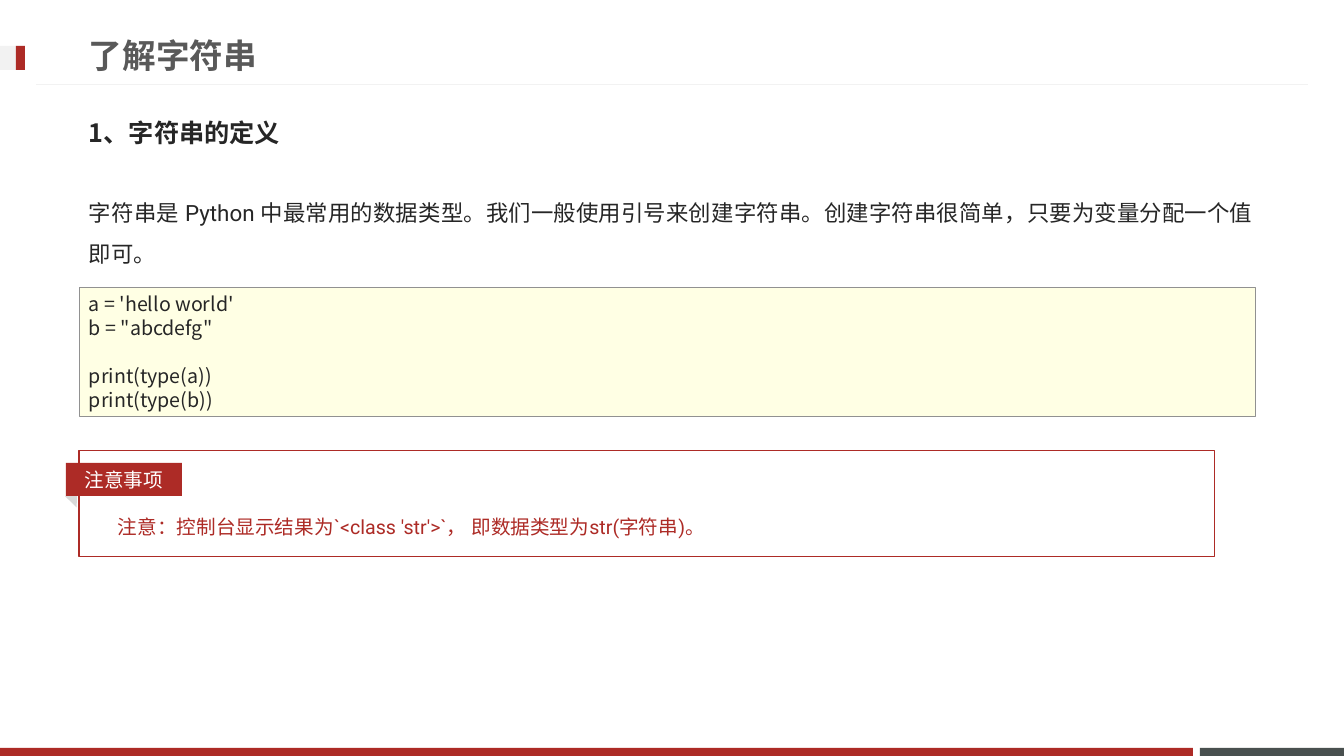
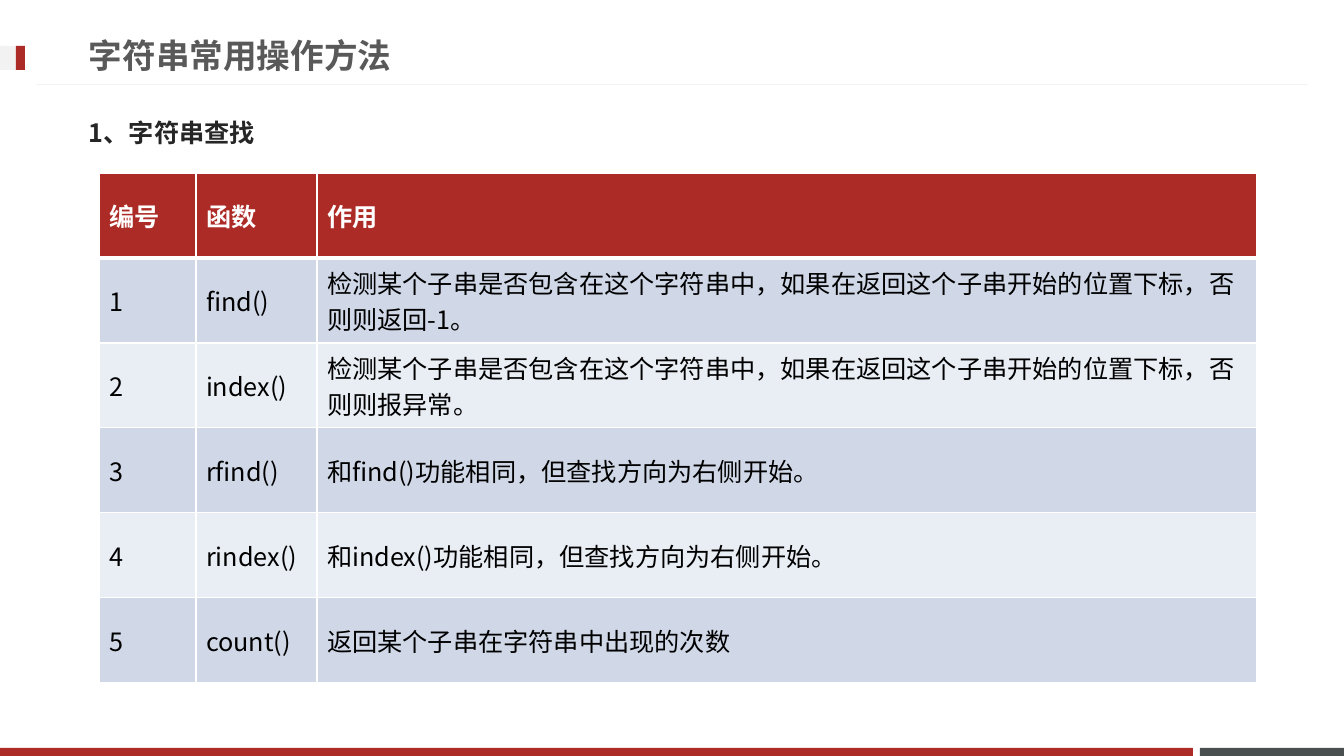
from lxml.etree import SubElement
from pptx import Presentation
from pptx.dml.color import RGBColor
from pptx.enum.shapes import MSO_CONNECTOR, MSO_SHAPE
from pptx.enum.text import MSO_ANCHOR, PP_ALIGN
from pptx.oxml.ns import qn
from pptx.util import Emu, Pt

# Content
TITLES = ["了解字符串", "字符串常用操作方法"]
HEADS = ["1、字符串的定义", "1、字符串查找"]
INTRO = ("字符串是 Python 中最常用的数据类型。我们一般使用引号来创建字符串。"
         "创建字符串很简单，只要为变量分配一个值即可。")
CODE = [["a = 'hello world'", 'b = "abcdefg"'],
        ["print(type(a))", "print(type(b))"]]
LABEL = "注意事项"
NOTE = "注意：控制台显示结果为`<class 'str'>`， 即数据类型为str(字符串)。"
FOUND = "检测某个子串是否包含在这个字符串中，如果在返回这个子串开始的位置下标，否则则"
ROWS = [
    ("编号", "函数", "作用"),
    ("1", "find()", FOUND + "返回-1。"),
    ("2", "index()", FOUND + "报异常。"),
    ("3", "rfind()", "和find()功能相同，但查找方向为右侧开始。"),
    ("4", "rindex()", "和index()功能相同，但查找方向为右侧开始。"),
    ("5", "count()", "返回某个子串在字符串中出现的次数"),
]

# Style
HUES = {"red": "AD2B26", "slate": "49504F", "pale": "F2F2F2", "fold": "D9D9D9",
        "title": "595959", "ink": "262626", "cream": "FFFFE4", "edge": "919191",
        "odd": "D0D8E8", "even": "E9EDF4", "white": "FFFFFF", "black": "000000"}
SANS, NOTO = "Roboto", "Noto Sans CJK JP"
WIDE, HIGH = 1344, 756
LEFT = 79
COLS, ROW = (97, 121, 940), 85
PITCH = 17  # code line height in points


def px(n):
    return Emu(round(n * 914400 / 100.8))


def hue(name):
    return RGBColor.from_string(HUES[name])


def write(para, text, size, color, face=SANS, bold=False):
    run = para.add_run()
    run.text = text
    font = run.font
    font.size, font.bold, font.name = Pt(size), bold, face
    font.color.rgb = hue(color)
    props = run._r.get_or_add_rPr()
    props.set("lang", "zh-CN")
    SubElement(props, qn("a:ea"), typeface=face)


def box(slide, area, fill=None, line=None, weight=0.75, kind=MSO_SHAPE.RECTANGLE):
    shape = slide.shapes.add_shape(kind, *map(px, area))
    shape.shadow.inherit = False
    if fill:
        shape.fill.solid()
        shape.fill.fore_color.rgb = hue(fill)
    else:
        shape.fill.background()
    if line:
        shape.line.color.rgb = hue(line)
        shape.line.width = Pt(weight)
    else:
        shape.line.fill.background()
    return shape


def label(slide, area, text, size, color, face=SANS, bold=False,
          anchor=MSO_ANCHOR.MIDDLE):
    frame = slide.shapes.add_textbox(*map(px, area)).text_frame
    frame.word_wrap = True
    frame.vertical_anchor = anchor
    para = frame.paragraphs[0]
    write(para, text, size, color, face, bold)
    return para


def base(deck, title, head):
    slide = deck.slides.add_slide(deck.slide_layouts[6])
    # Footer bands and title marker
    box(slide, (1200, HIGH - 8, WIDE - 1200, 8), "slate")
    box(slide, (0, HIGH - 8, 1193, 8), "red")
    box(slide, (0, 46, 25, 24), "pale")
    box(slide, (16, 46, 9, 24), "red")
    # Title rule
    rule = slide.shapes.add_connector(
        MSO_CONNECTOR.STRAIGHT, px(WIDE - 36), px(85), px(36), px(85))
    rule.line.color.rgb = hue("pale")
    rule.line.width = Pt(0.75)
    SubElement(rule._element.spPr, qn("a:effectLst"))
    # Title and heading
    label(slide, (LEFT, 27, 967, 57), title, 24, "title", bold=True)
    para = label(slide, (LEFT, 104, 1185, 57), head, 18, "ink", NOTO, True)
    para.space_before = Pt(4)
    return slide


def define(slide):
    # Introduction
    para = label(slide, (LEFT, 181, 1185, 100), INTRO, 16, "ink",
                 anchor=MSO_ANCHOR.TOP)
    para.alignment = PP_ALIGN.JUSTIFY
    para.line_spacing = 1.5
    para.space_before = Pt(3)
    # Code panel
    frame = box(slide, (LEFT, 287, 1176, 129), "cream", "edge", 0.25).text_frame
    frame.word_wrap = True
    frame.vertical_anchor = MSO_ANCHOR.TOP
    para = frame.paragraphs[0]
    for b, block in enumerate(CODE):
        for i, text in enumerate(block):
            if b or i:
                para = frame.add_paragraph()
            para.alignment = PP_ALIGN.LEFT
            para.line_spacing = Pt(PITCH)
            para.space_before = Pt(PITCH if b and not i else 0)
            write(para, text, 14, "ink", NOTO)
    # Note with folded tag
    fold = box(slide, (66, 494, 16, 9), "fold", kind=MSO_SHAPE.ISOSCELES_TRIANGLE)
    fold.rotation = 44.2
    para = label(slide, (108, 498, 1078, 42), NOTE, 14, "red",
                 anchor=MSO_ANCHOR.TOP)
    para.line_spacing = 1.5
    box(slide, (LEFT, 451, 1136, 106), line="red")
    frame = box(slide, (66, 463, 116, 33), "red").text_frame
    frame.vertical_anchor = MSO_ANCHOR.MIDDLE
    para = frame.paragraphs[0]
    para.alignment = PP_ALIGN.CENTER
    write(para, LABEL, 14, "white")


def border(cell, side, weight):
    line = SubElement(cell._tc.get_or_add_tcPr(), qn("a:ln" + side),
                      w=str(Pt(weight)))
    fill = SubElement(line, qn("a:solidFill"))
    SubElement(fill, qn("a:srgbClr"), val=HUES["white"])


def find(slide):
    # Method table
    area = (99, 173, sum(COLS), ROW * len(ROWS))
    table = slide.shapes.add_table(len(ROWS), len(COLS), *map(px, area)).table
    for col, width in zip(table.columns, COLS):
        col.width = px(width)
    for r, row in enumerate(ROWS):
        table.rows[r].height = px(ROW)
        fill = "red" if r == 0 else "odd" if r % 2 else "even"
        for c, text in enumerate(row):
            cell = table.cell(r, c)
            for side in "LRTB":
                thick = (r, side) in ((0, "B"), (1, "T"))
                border(cell, side, 3 if thick else 1)
            cell.fill.solid()
            cell.fill.fore_color.rgb = hue(fill)
            cell.vertical_anchor = MSO_ANCHOR.MIDDLE
            write(cell.text_frame.paragraphs[0], text, 18,
                  "black" if r else "white", NOTO, r == 0)


def main():
    deck = Presentation()
    deck.slide_width, deck.slide_height = px(WIDE), px(HIGH)
    for title, head, draw in zip(TITLES, HEADS, (define, find)):
        draw(base(deck, title, head))
    deck.save("out.pptx")


if __name__ == "__main__":
    main()
